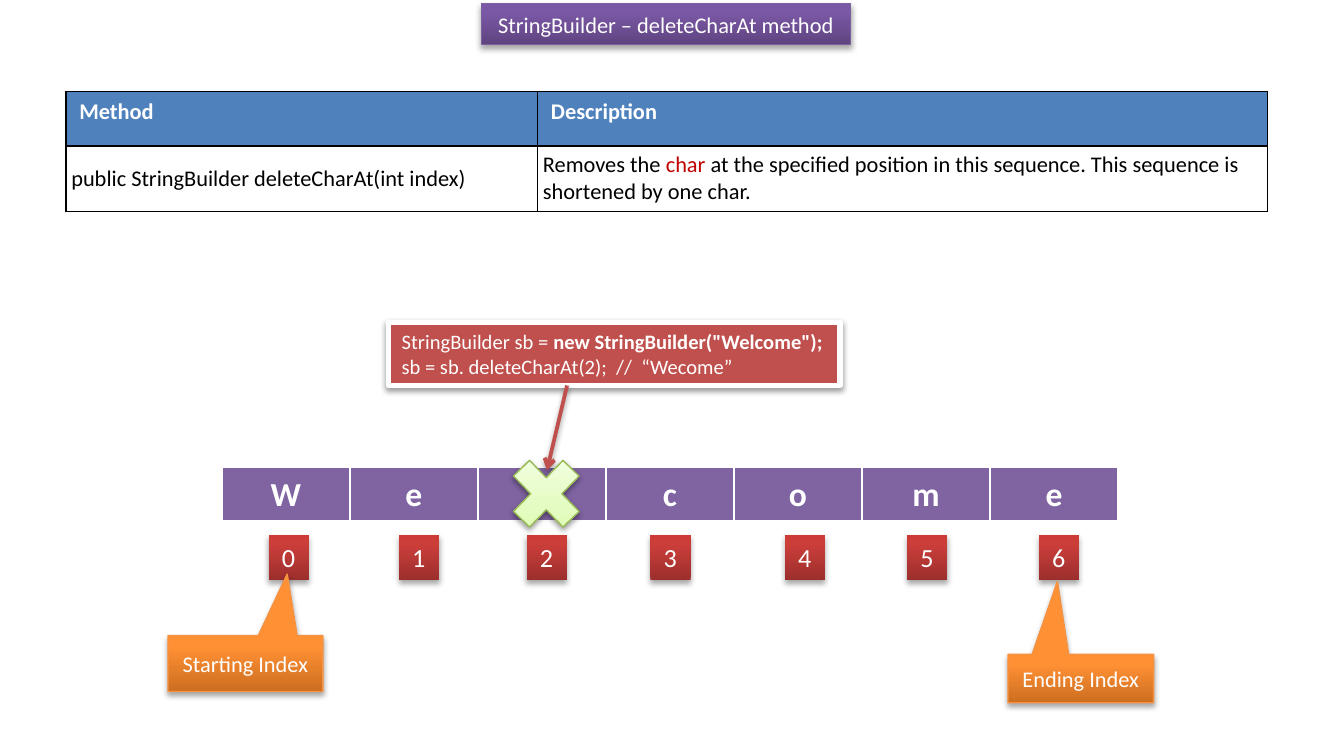
"""Build the slide that explains StringBuilder.deleteCharAt."""
import copy

import lxml.etree
import pptx
import pptx.dml.color
import pptx.enum.dml
import pptx.enum.shapes
import pptx.enum.text
import pptx.oxml.ns
import pptx.util

Pt = pptx.util.Pt
SHAPE = pptx.enum.shapes.MSO_SHAPE
ALIGN = pptx.enum.text.PP_ALIGN
ANCHOR = pptx.enum.text.MSO_ANCHOR
qn = pptx.oxml.ns.qn

WHITE, BLACK = "FFFFFF", "000000"
PURPLE = [(0, "5F4480"), (0.8, "7B58A6"), (1, "7C57A8")]
RED = [(0, "9C2F2D"), (0.8, "CB3E3A"), (1, "CE3B37")]
ORANGE = [(0, "CC6E20"), (0.8, "FF9034"), (1, "FF9136")]
GREEN = [(0, "DAFDA7"), (0.35, "E4FCC2"), (1, "F5FFE7")]
SOFT, STRONG = (35, 1.8), (38, 1.6)


def color(value):
    return pptx.dml.color.RGBColor.from_string(value)


def child(parent, tag, **attributes):
    values = {key: str(value) for key, value in attributes.items()}
    return lxml.etree.SubElement(parent, qn(tag), values)


class Page:
    def __init__(self, deck, font):
        self.slide = deck.slides.add_slide(deck.slide_layouts[6])
        self.font = font

    def add_text(self, frame, paragraphs, size, ink=WHITE, align=ALIGN.LEFT):
        for number, spans in enumerate(paragraphs):
            para = frame.add_paragraph() if number else frame.paragraphs[0]
            para.alignment = align
            for text, bold, *own_ink in spans:
                span = para.add_run()
                span.text = text
                span.font.name = self.font
                span.font.size = Pt(size)
                span.font.bold = bold
                span.font.color.rgb = color(own_ink[0] if own_ink else ink)

    def paint(self, fill, paint):
        if isinstance(paint, str):
            fill.solid()
            fill.fore_color.rgb = color(paint)
            return
        fill.gradient()
        fill.gradient_angle = 90
        first = fill.gradient_stops[0]._gs
        first.addnext(copy.deepcopy(first))
        for stop, (position, value) in zip(fill.gradient_stops, paint):
            stop.position = position
            stop.color.rgb = color(value)

    def shadow(self, effects, style):
        opacity, distance = style
        outer = child(effects, "a:outerShdw", blurRad=Pt(3.1), dist=Pt(distance),
                      dir=5400000, rotWithShape=0)
        child(child(outer, "a:srgbClr", val=BLACK), "a:alpha", val=opacity * 1000)

    def shape(self, kind, bounds, paint, line=None, shadow=SOFT, adjust=()):
        box = self.slide.shapes.add_shape(kind, *map(Pt, bounds))
        for number, value in enumerate(adjust):
            box.adjustments[number] = value
        self.paint(box.fill, paint)
        if line:
            box.line.color.rgb = color(line[0])
            box.line.width = Pt(line[1])
        else:
            box.line.fill.background()
        box.shadow.inherit = False
        self.shadow(box._element.spPr.find(qn("a:effectLst")), shadow)
        return box

    def label(self, box, paragraphs, size, align=ALIGN.CENTER,
              anchor=ANCHOR.MIDDLE, wrap=True):
        frame = box.text_frame
        frame.word_wrap = wrap
        frame.vertical_anchor = anchor
        self.add_text(frame, paragraphs, size, align=align)

    def table(self, left, top, widths, heights):
        table = self.slide.shapes.add_table(
            len(heights), len(widths), Pt(left), Pt(top),
            Pt(sum(widths)), Pt(sum(heights))).table
        for column, width in zip(table.columns, widths):
            column.width = Pt(width)
        for row, height in zip(table.rows, heights):
            row.height = Pt(height)
        return table

    def cell(self, cell, spans, size, paint, ink, border, bottom=1,
             align=ALIGN.LEFT, margin=None):
        if margin is not None:
            cell.margin_left = cell.margin_right = Pt(margin)
            cell.margin_top = cell.margin_bottom = Pt(margin)
            cell.vertical_anchor = ANCHOR.MIDDLE
        properties = cell._tc.get_or_add_tcPr()
        for side in "LRTB":
            edge = child(properties, f"a:ln{side}", w=Pt(bottom if side == "B" else 1))
            child(child(edge, "a:solidFill"), "a:srgbClr", val=border)
        self.paint(cell.fill, paint)
        self.add_text(cell.text_frame, [spans], size, ink, align)

    def arrow(self, start, end, ink, width, shadow):
        line = self.slide.shapes.add_connector(
            pptx.enum.shapes.MSO_CONNECTOR.STRAIGHT, *map(Pt, start + end))
        line.line.color.rgb = color(ink)
        line.line.width = Pt(width)
        properties = line._element.spPr
        child(properties.find(qn("a:ln")), "a:tailEnd", type="arrow")
        self.shadow(child(properties, "a:effectLst"), shadow)


def main():
    deck = pptx.Presentation()
    deck.slide_width, deck.slide_height = Pt(720), Pt(396)
    page = Page(deck, "Calibri")

    title = page.shape(SHAPE.RECTANGLE, (257.8, 2, 198, 21.8), PURPLE, ("7D60A0", 0.75))
    page.label(title, [[("StringBuilder – deleteCharAt method", False)]], 12)

    methods = page.table(35.3, 49, [252.7, 391], [29.2, 34.8])
    for column, heading in enumerate(["Method", "Description"]):
        page.cell(methods.cell(0, column), [(heading, True)], 12, "4F81BD", WHITE, BLACK)
    details = [
        [("public StringBuilder deleteCharAt(int index)", False)],
        [("Removes the ", False), ("char", False, "C00000"),
         (" at the specified position in this sequence. "
          "This sequence is shortened by one char.", False)],
    ]
    for column, spans in enumerate(details):
        page.cell(methods.cell(1, column), spans, 12, WHITE, BLACK, BLACK, margin=2.9)

    word = "Welcome"
    letters = page.table(118.8, 250.6, [68.6] * len(word), [29.2])
    for column, letter in enumerate(word):
        page.cell(letters.cell(0, column), [(letter, True)], 18, "8064A2", WHITE,
                  WHITE, bottom=3, align=ALIGN.CENTER)

    for index, left in enumerate([144, 213.8, 282.2, 348.5, 420.5, 486, 556.6]):
        box = page.shape(SHAPE.RECTANGLE, (left, 286.6, 21.6, 24.2), RED)
        page.label(box, [[(str(index), False)]], 14, ALIGN.LEFT, ANCHOR.TOP, False)

    callouts = [
        ("Starting Index", (90, 340.6, 83, 30), (0.27, -1.6)),
        ("Ending Index", (540, 350.6, 78, 26), (-0.16, -2)),
    ]
    for text, bounds, adjust in callouts:
        box = page.shape(SHAPE.RECTANGULAR_CALLOUT, bounds, ORANGE,
                         ("F69240", 0.75), adjust=adjust)
        page.label(box, [[(text, False)]], 12)

    code = page.shape(SHAPE.RECTANGLE, (208.1, 172.8, 241.9, 33.8), "C0504D",
                      (WHITE, 3), STRONG)
    page.label(code, [
        [("StringBuilder sb = ", False), ('new StringBuilder("Welcome");', True)],
        [("sb = sb. deleteCharAt(2);  //  “Wecome”", False)],
    ], 11, ALIGN.LEFT, ANCHOR.TOP, False)

    page.arrow((303.8, 206.6), (293, 252), "C0504D", 2, STRONG)
    page.shape(SHAPE.MATH_MULTIPLY, (267.1, 238.3, 51.1, 52.6), GREEN,
               ("98B955", 0.75), STRONG)
    deck.save("out.pptx")


if __name__ == "__main__":
    main()
